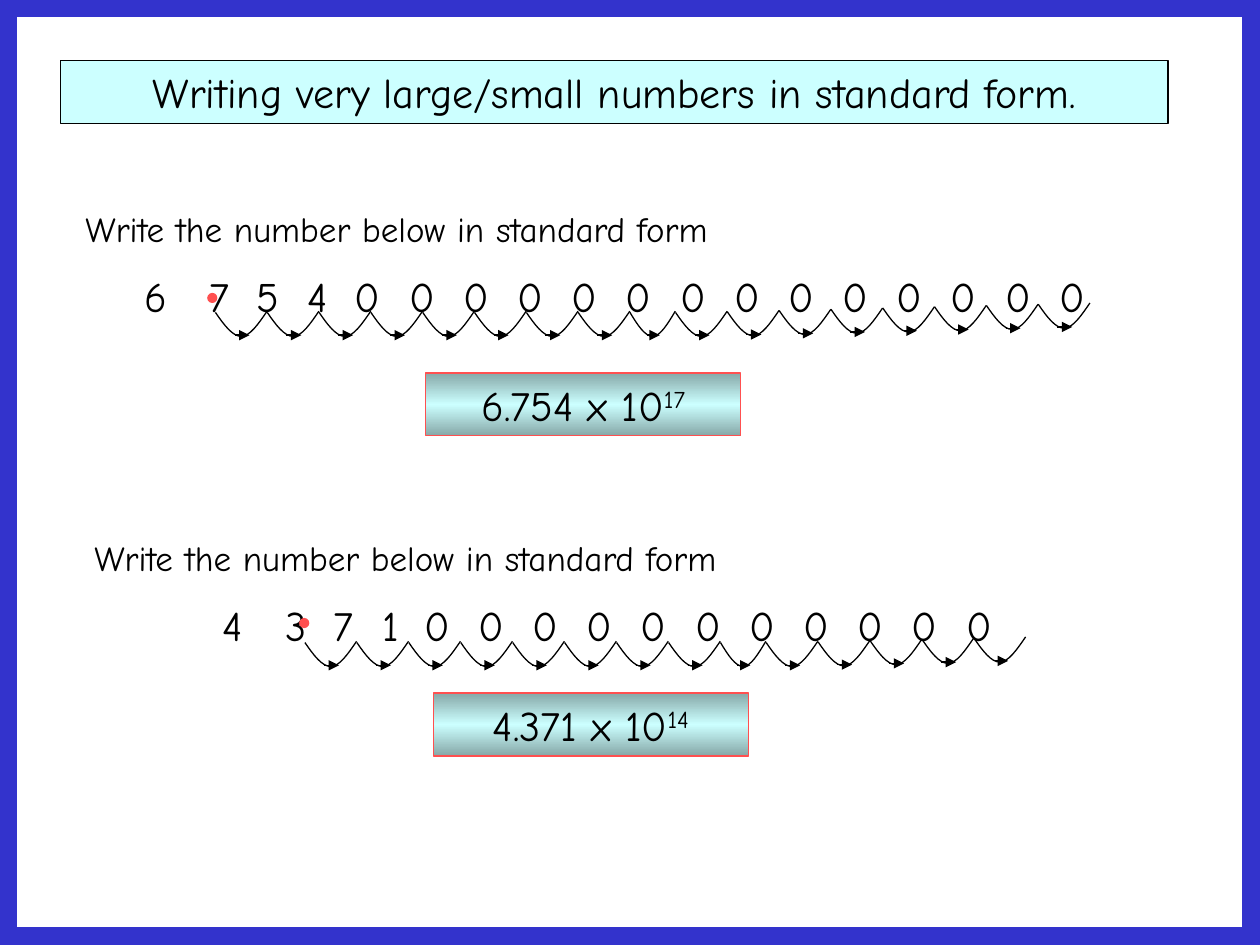
from copy import deepcopy

from lxml import etree
from pptx import Presentation
from pptx.dml.color import RGBColor
from pptx.enum.shapes import MSO_CONNECTOR, MSO_SHAPE
from pptx.enum.text import MSO_ANCHOR, MSO_AUTO_SIZE, PP_ALIGN
from pptx.oxml.ns import qn
from pptx.util import Inches, Pt

RECTANGLE, OVAL = MSO_SHAPE.RECTANGLE, MSO_SHAPE.OVAL
STRAIGHT = MSO_CONNECTOR.STRAIGHT
LEFT, CENTER = PP_ALIGN.LEFT, PP_ALIGN.CENTER
TOP = MSO_ANCHOR.TOP
NO_FIT = MSO_AUTO_SIZE.NONE

FONT = "Comic Neue"
COLORS = {
    "text": "000000",
    "pale": "CCFFFF",
    "shade": "86A8A8",
    "accent": "FF5050",
    "frame": "3333CC",
}
DIGIT_PITCH = 0.43
HOP_WIDTH = 0.41
NARROW_WIDTH = 0.36
NARROW_HOP = 8
PROMPT = "Write the number below in standard form"

EXAMPLES = [
    {
        "prompt": (0.58, 1.6), "digits": (0.52, 2.1), "zeros": 14,
        "leading": {"6": 1.24, "7": 1.74, "5": 2.13, "4": 2.52}, "first_zero": 2.92,
        "hops": (1.71, 2.47), "point": (1.65, 2.33),
        "answer": (3.38, 2.96), "mantissa": "6.754 x 10", "power": 17,
    },
    {
        "prompt": (0.65, 4.21), "digits": (0.58, 4.71), "zeros": 11,
        "leading": {"4": 1.85, "3": 2.35, "7": 2.73, "1": 3.1}, "first_zero": 3.47,
        "hops": (2.42, 5.09), "point": (2.38, 4.91),
        "answer": (3.44, 5.5), "mantissa": "4.371 x 10", "power": 14,
    },
]


class SlideBuilder:
    def __init__(self, page):
        self.page = page
        self.shapes = page.shapes

    def color(self, name):
        return RGBColor.from_string(COLORS[name])

    def outline(self, item, color="text", width=0.75):
        item.line.color.rgb = self.color(color)
        item.line.width = Pt(width)

    def fill_text(self, box, spans, size=24, align=CENTER, stops=()):
        frame = box.text_frame
        frame.word_wrap = True
        frame.auto_size = NO_FIT
        frame.vertical_anchor = TOP
        para = frame.paragraphs[0]
        para.alignment = align
        if stops:
            tabs = etree.SubElement(para._p.get_or_add_pPr(), qn("a:tabLst"))
            for stop in stops:
                etree.SubElement(tabs, qn("a:tab"), pos=str(Inches(stop)), algn="ctr")
        for text, raised in spans:
            span = para.add_run()
            span.text = text
            span.font.name = FONT
            span.font.size = Pt(size)
            span.font.color.rgb = self.color("text")
            if raised:
                span._r.get_or_add_rPr().set("baseline", "30000")

    def title(self, text, left, top, width, height):
        box = self.shapes.title
        box.left, box.top = Inches(left), Inches(top)
        box.width, box.height = Inches(width), Inches(height)
        box.fill.solid()
        box.fill.fore_color.rgb = self.color("pale")
        self.outline(box)
        self.fill_text(box, [(text, False)])

    def text(self, text, left, top, width, height, **style):
        box = self.shapes.add_textbox(
            Inches(left), Inches(top), Inches(width), Inches(height))
        self.fill_text(box, [(text, False)], align=LEFT, **style)

    def shape(self, kind, left, top, width, height, line, line_width=0.75):
        item = self.shapes.add_shape(
            kind, Inches(left), Inches(top), Inches(width), Inches(height))
        item.shadow.inherit = False
        item.fill.background()
        self.outline(item, line, line_width)
        return item

    def decimal_point(self, left, top):
        point = self.shape(OVAL, left, top, 0.07, 0.07, "accent")
        point.fill.solid()
        point.fill.fore_color.rgb = self.color("accent")

    def answer(self, left, top, mantissa, power):
        box = self.shape(RECTANGLE, left, top, 2.5, 0.5, "accent")
        box.fill.gradient()
        stop_list = box._element.spPr.find(".//" + qn("a:gsLst"))
        stop_list.append(deepcopy(stop_list[0]))
        for stop, name, position in zip(
                box.fill.gradient_stops, ("shade", "pale", "shade"), (0, 0.5, 1)):
            stop.color.rgb = self.color(name)
            stop.position = position
        box.fill.gradient_angle = 90
        self.fill_text(box, [(mantissa, False), (str(power), True)])

    def curve(self, points):
        start, *rest = [(Inches(x), Inches(y)) for x, y in points]
        builder = self.shapes.build_freeform(*start)
        builder.add_line_segments(rest, close=False)
        arc = builder.convert_to_shape()
        arc.shadow.inherit = False
        arc.fill.background()
        self.outline(arc)
        segments = arc._element.spPr.findall(".//" + qn("a:lnTo"))
        outline = segments[0].getparent()
        for index, segment in enumerate(segments):
            if index % 3 == 0:
                bezier = etree.SubElement(outline, qn("a:cubicBezTo"))
            bezier.append(segment[0])
            outline.remove(segment)

    def arrow(self, start, end, level):
        line = self.shapes.add_connector(
            STRAIGHT, Inches(start), Inches(level), Inches(end), Inches(level))
        self.outline(line)
        properties = line._element.spPr
        etree.SubElement(properties.find(qn("a:ln")), qn("a:tailEnd"), type="triangle")
        etree.SubElement(properties, qn("a:effectLst"))

    def hop(self, left, top, width):
        low = top + 0.2
        self.curve([
            (left, top + 0.01),
            (left + width / 6, top + 0.11), (left + width / 3, low), (left + width / 2, low),
            (left + width * 2 / 3, low), (left + width * 5 / 6, top + 0.1), (left + width, top),
        ])
        self.arrow(left + width * 0.37, left + width * 0.66, top + 0.19)

    def hops(self, left, top, count):
        right = left + 8.65 - 1.71 if count == 17 else left + 8.14 - 2.42
        gap = (right - left - HOP_WIDTH * (count - 1) - NARROW_WIDTH) / (count - 1)
        for index in range(count):
            width = NARROW_WIDTH if index == NARROW_HOP else HOP_WIDTH
            drift = 0.01 * max(0, index - NARROW_HOP - 1.5)
            self.hop(left, top - drift, width)
            left += width + gap

    def digits(self, left, top, leading, first_zero, zeros):
        centers = list(leading.values())
        centers += [first_zero + DIGIT_PITCH * index for index in range(zeros)]
        text = "".join("\t" + digit for digit in [*leading, *"0" * zeros])
        stops = [center - left - 0.1 for center in centers]
        self.text(text, left, top, 8.79, 0.5, stops=stops)


def main():
    deck = Presentation()
    deck.slide_width, deck.slide_height = Inches(10), Inches(7.5)
    slide = SlideBuilder(deck.slides.add_slide(deck.slide_layouts[5]))
    slide.title("Writing very large/small numbers in standard form.", 0.48, 0.48, 8.79, 0.5)
    for example in EXAMPLES:
        slide.digits(*example["digits"], example["leading"],
                     example["first_zero"], example["zeros"])
        slide.text(PROMPT, *example["prompt"], 7.33, 0.44, size=20)
        slide.hops(*example["hops"], example["power"])
        slide.decimal_point(*example["point"])
        slide.answer(*example["answer"], example["mantissa"], example["power"])
    slide.shape(RECTANGLE, 0, 0, 10, 7.5, "frame", 20)
    deck.save("out.pptx")


if __name__ == "__main__":
    main()
